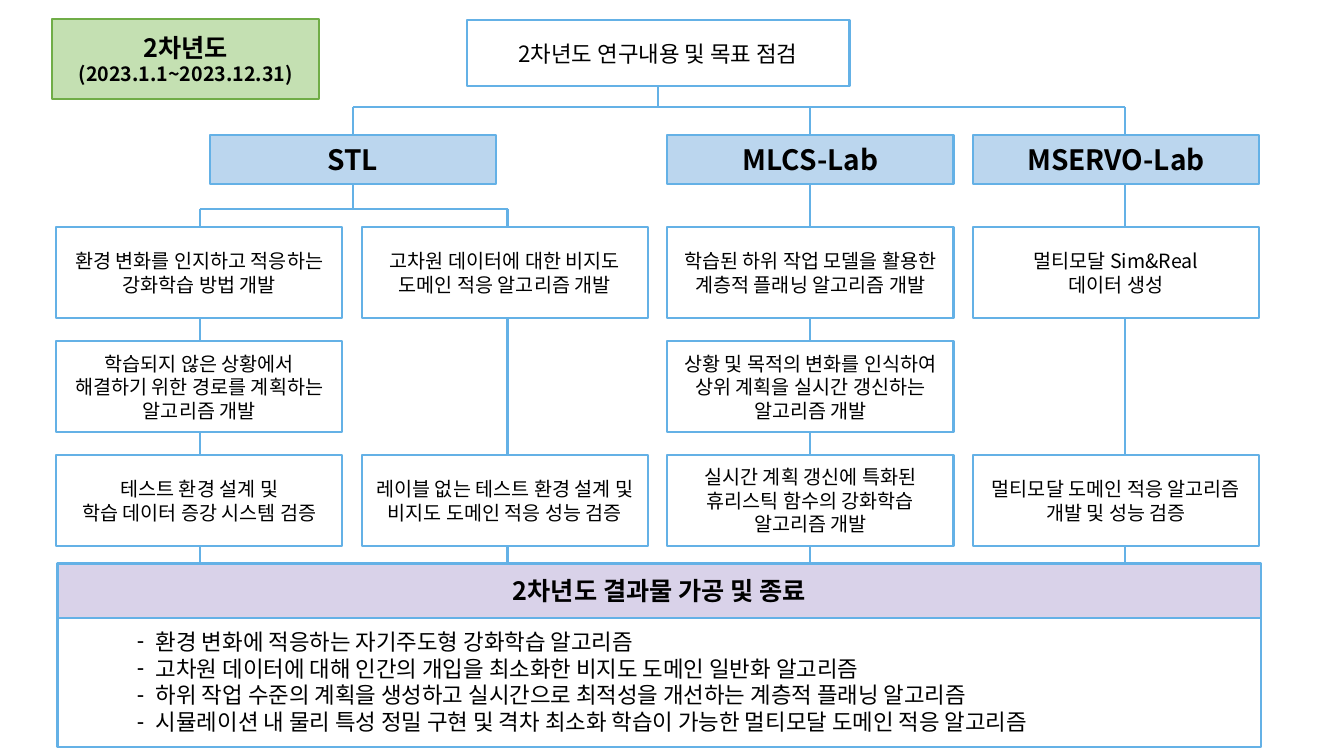
"""Build the second-year research plan slide."""
from lxml.etree import SubElement
from pptx import Presentation
from pptx.dml.color import RGBColor
from pptx.enum.shapes import MSO_CONNECTOR, MSO_SHAPE
from pptx.enum.text import MSO_ANCHOR, PP_ALIGN
from pptx.oxml.ns import qn
from pptx.util import Cm, Pt

BLUE = RGBColor(0x64, 0xB1, 0xE6)
GREEN = RGBColor(0x70, 0xAD, 0x47)
PALE_BLUE = RGBColor(0xBB, 0xD6, 0xEE)
PALE_GREEN = RGBColor(0xC4, 0xE0, 0xB2)
LILAC = RGBColor(0xD9, 0xD2, 0xE9)
WHITE = RGBColor(0xFF, 0xFF, 0xFF)
BLACK = RGBColor(0x00, 0x00, 0x00)
KOREAN_FONT = "Noto Sans CJK KR"

TASK_W, TASK_H = 7.21, 2.29
COLUMN_LEFT, COLUMN_PITCH = 1.42, 7.7
TASK_TOP, TASK_PITCH = 5.73, 2.87
LAB_TOP, LAB_H = 3.4, 1.24
LAB_BUS, STL_BUS = 2.69, 5.26
STL_X = 8.89
RESULT_TOP = 14.2
TRUNKS = [5.03, 12.79, 20.42, 28.35]

TASKS = [
    ["환경 변화를 인지하고 적응하는 강화학습 방법 개발",
     "학습되지 않은 상황에서 해결하기 위한 경로를 계획하는 알고리즘 개발",
     "테스트 환경 설계 및\n학습 데이터 증강 시스템 검증"],
    ["고차원 데이터에 대한 비지도\n도메인 적응 알고리즘 개발",
     None,
     "레이블 없는 테스트 환경 설계 및 비지도 도메인 적응 성능 검증"],
    ["학습된 하위 작업 모델을 활용한 계층적 플래닝 알고리즘 개발",
     "상황 및 목적의 변화를 인식하여 상위 계획을 실시간 갱신하는 알고리즘 개발",
     "실시간 계획 갱신에 특화된 휴리스틱 함수의 강화학습 알고리즘 개발"],
    ["멀티모달 Sim&Real\n데이터 생성",
     None,
     "멀티모달 도메인 적응 알고리즘 개발 및 성능 검증"],
]
RESULTS = [
    "환경 변화에 적응하는 자기주도형 강화학습 알고리즘",
    "고차원 데이터에 대해 인간의 개입을 최소화한 비지도 도메인 일반화 알고리즘",
    "하위 작업 수준의 계획을 생성하고 실시간으로 최적성을 개선하는 계층적 플래닝 알고리즘",
    "시뮬레이션 내 물리 특성 정밀 구현 및 격차 최소화 학습이 가능한 멀티모달 도메인 적응 알고리즘",
]


def write(paragraph, text, size=14, bold=False, font=KOREAN_FONT,
          align=PP_ALIGN.CENTER, dash=False):
    """Write one formatted paragraph, with a hanging dash if asked."""
    paragraph.alignment = align
    run = paragraph.add_run()
    run.text = text
    run.font.size = Pt(size)
    run.font.bold = bold
    run.font.name = font
    run.font.color.rgb = BLACK
    SubElement(run.font._element, qn("a:ea"), typeface=KOREAN_FONT)
    if dash:
        properties = paragraph._p.get_or_add_pPr()
        properties.set("marL", str(Cm(0.48)))
        properties.set("indent", str(-Cm(0.48)))
        SubElement(properties, qn("a:buFont"), typeface=font)
        SubElement(properties, qn("a:buChar"), char="-")


def add_box(slide, left, top, width, height, text, sizes=(14,),
            fill=WHITE, line=BLUE, **style):
    """Add a framed box; the last size serves all remaining paragraphs."""
    box = slide.shapes.add_shape(
        MSO_SHAPE.RECTANGLE, Cm(left), Cm(top), Cm(width), Cm(height))
    box.shadow.inherit = False
    box.fill.solid()
    box.fill.fore_color.rgb = fill
    box.line.color.rgb = line
    box.line.width = Pt(1.5)
    frame = box.text_frame
    frame.word_wrap = True
    frame.vertical_anchor = MSO_ANCHOR.MIDDLE
    for i, row in enumerate(text.split("\n")):
        paragraph = frame.add_paragraph() if i else frame.paragraphs[0]
        write(paragraph, row, size=sizes[min(i, len(sizes) - 1)], **style)
    return box


def add_line(slide, x1, y1, x2, y2):
    """Add one straight blue connector."""
    link = slide.shapes.add_connector(
        MSO_CONNECTOR.STRAIGHT, Cm(x1), Cm(y1), Cm(x2), Cm(y2))
    link.line.color.rgb = BLUE
    link.line.width = Pt(1.5)
    SubElement(link._element.spPr, qn("a:effectLst"))


def add_links(slide, goal_x, goal_bottom):
    """Draw the tree from the goal box down to the results."""
    add_line(slide, goal_x, goal_bottom, goal_x, LAB_BUS)
    add_line(slide, STL_X, LAB_BUS, TRUNKS[-1], LAB_BUS)
    add_line(slide, STL_X, LAB_BUS, STL_X, STL_BUS)
    add_line(slide, TRUNKS[0], STL_BUS, TRUNKS[1], STL_BUS)
    for x, top in zip(TRUNKS, [STL_BUS, STL_BUS, LAB_BUS, LAB_BUS]):
        add_line(slide, x, top, x, RESULT_TOP)


def add_header(slide, left, top):
    """Place the year tag and the goal box."""
    add_box(slide, left, top, 6.73, 2.01, "2차년도\n(2023.1.1~2023.12.31)",
            sizes=(18, 14), bold=True, fill=PALE_GREEN, line=GREEN)
    add_box(slide, left + 10.44, top + 0.02, 9.65, 1.68,
            "2차년도 연구내용 및 목표 점검", sizes=(16,))


def add_labs(slide, top):
    """Place the three lab headings."""
    third, fourth = (COLUMN_LEFT + i * COLUMN_PITCH for i in (2, 3))
    for lab, left in [("STL", STL_X - TASK_W / 2),
                      ("MLCS-Lab", third), ("MSERVO-Lab", fourth)]:
        add_box(slide, left, top, TASK_W, LAB_H, lab, sizes=(20,),
                bold=True, fill=PALE_BLUE)


def add_tasks(slide, left, top):
    """Place the grid of task boxes."""
    for column, tasks in enumerate(TASKS):
        for row, task in enumerate(tasks):
            if task:
                add_box(slide, left + column * COLUMN_PITCH,
                        top + row * TASK_PITCH, TASK_W, TASK_H, task)


def add_results(slide, left, top, width):
    """Place the results heading above its list."""
    heading_h = 1.37
    add_box(slide, left, top, width, heading_h, "2차년도 결과물 가공 및 종료",
            sizes=(18,), bold=True, fill=LILAC)
    outcomes = add_box(slide, left, top + heading_h, width, 3.25,
                       "\n".join(RESULTS), sizes=(16,), font="Arial",
                       align=PP_ALIGN.LEFT, dash=True)
    frame = outcomes.text_frame
    frame.vertical_anchor = MSO_ANCHOR.TOP
    frame.margin_left = frame.margin_right = Cm(2)
    frame.margin_top = frame.margin_bottom = Cm(0.25)


def main():
    """Build and save the slide."""
    deck = Presentation()
    deck.slide_width, deck.slide_height = Cm(33.87), Cm(19.05)
    slide = deck.slides.add_slide(deck.slide_layouts[6])
    add_links(slide, 16.59, 2.18)
    add_header(slide, 1.32, 0.48)
    add_labs(slide, LAB_TOP)
    add_tasks(slide, COLUMN_LEFT, TASK_TOP)
    add_results(slide, 1.45, RESULT_TOP, 30.33)
    deck.save("out.pptx")


if __name__ == "__main__":
    main()
